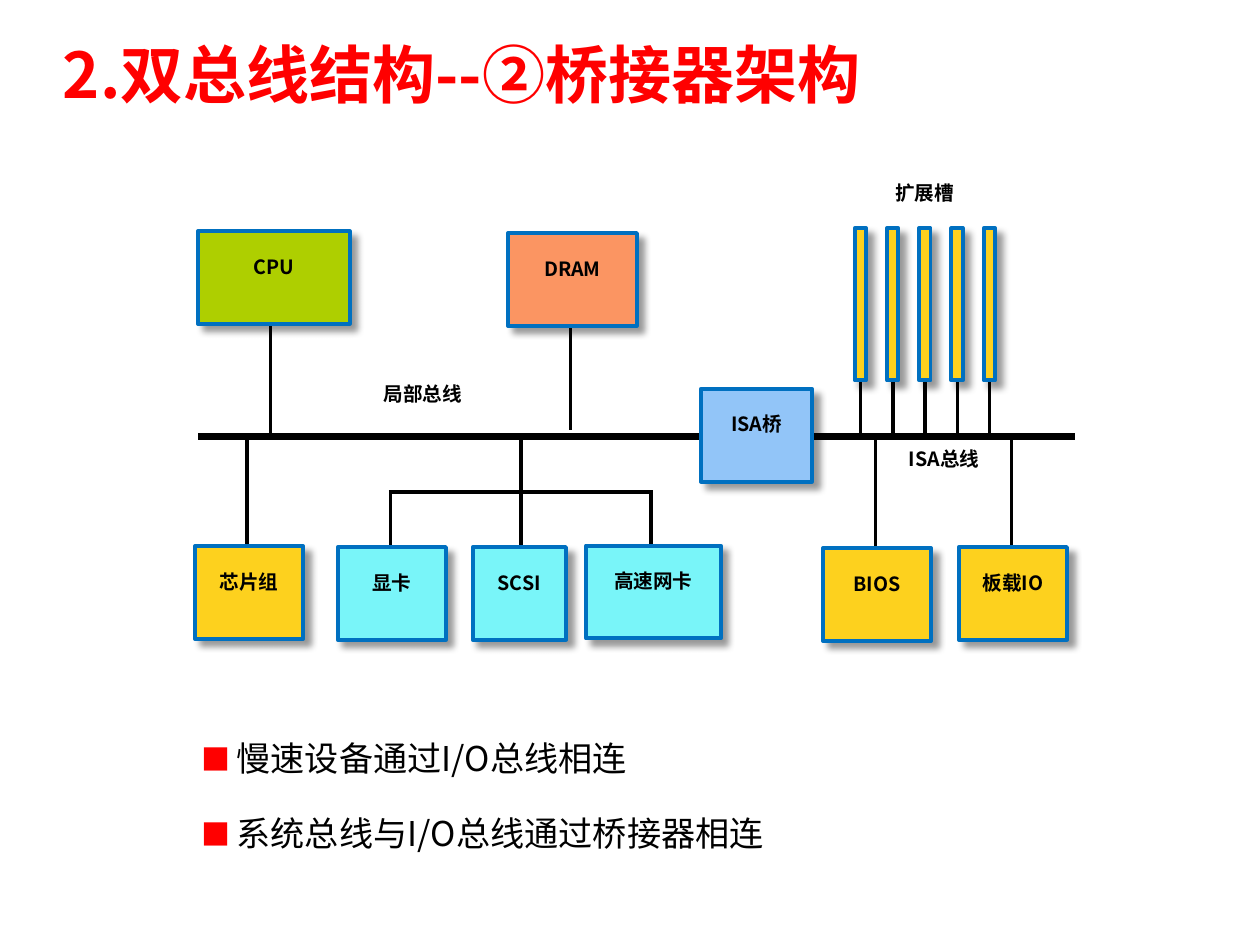
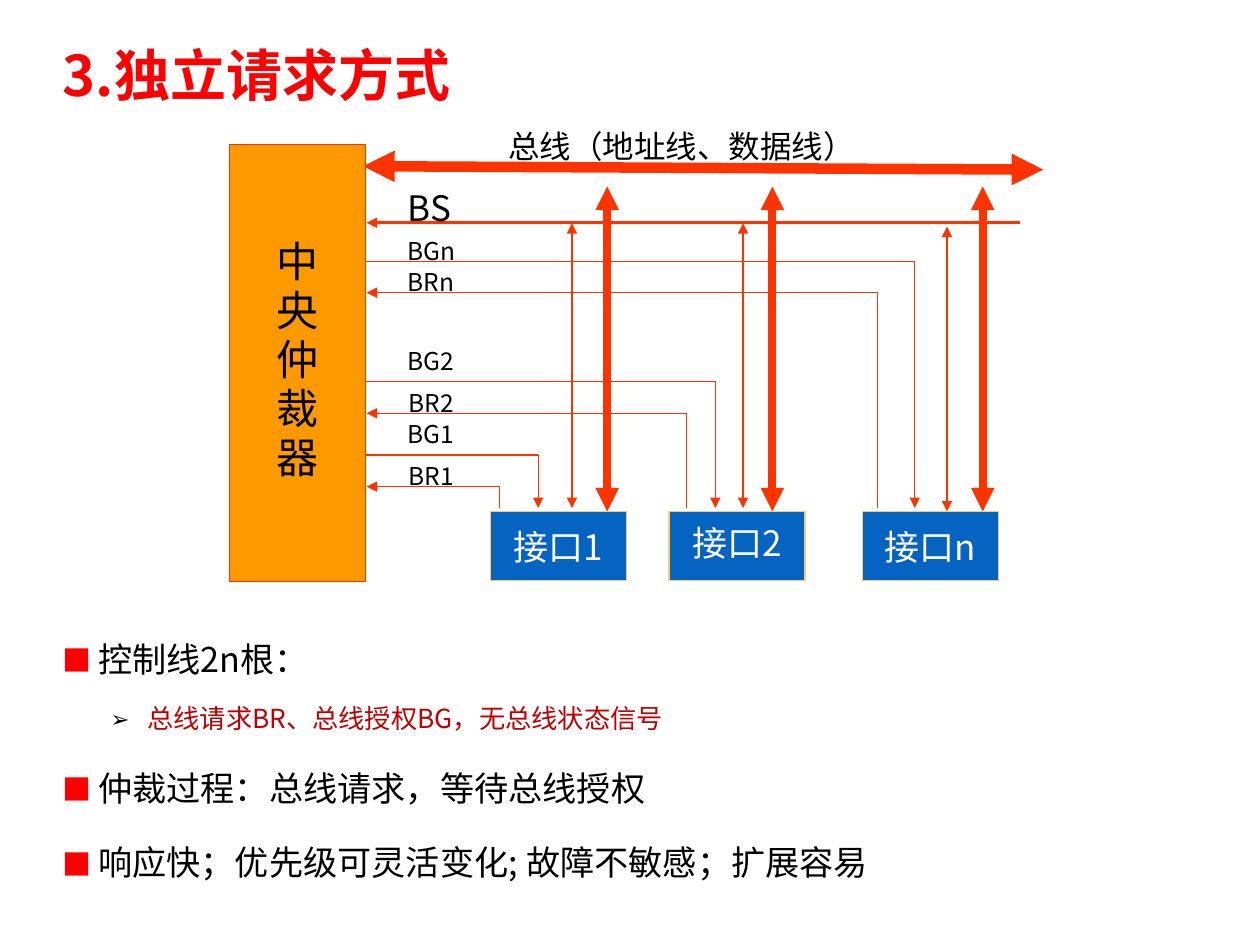
from lxml.etree import SubElement
from pptx import Presentation
from pptx.dml.color import RGBColor
from pptx.enum.shapes import MSO_CONNECTOR as Connector, MSO_SHAPE as Shape
from pptx.enum.text import MSO_ANCHOR as Anchor, PP_ALIGN as Align
from pptx.oxml import parse_xml
from pptx.oxml.ns import nsdecls, qn
from pptx.util import Cm, Pt

FONT = "Noto Sans CJK SC"
BLACK = RGBColor(0x00, 0x00, 0x00)
WHITE = RGBColor(0xFF, 0xFF, 0xFF)
RED = RGBColor(0xFF, 0x00, 0x00)
DARK_RED = RGBColor(0xC0, 0x00, 0x00)
ARROW_RED = RGBColor(0xFF, 0x33, 0x00)
BORDER_BLUE = RGBColor(0x00, 0x70, 0xC0)
GREEN = RGBColor(0xAE, 0xCF, 0x00)
CORAL = RGBColor(0xFB, 0x95, 0x62)
SKY = RGBColor(0x92, 0xC5, 0xF8)
YELLOW = RGBColor(0xFD, 0xD1, 0x1E)
CYAN = RGBColor(0x79, 0xF5, 0xF9)
ORANGE = RGBColor(0xFF, 0x99, 0x00)
INTERFACE_BLUE = RGBColor(0x05, 0x63, 0xC1)
SAND = RGBColor(0xFF, 0xCC, 0x66)

SHADOW = (
    f'<a:outerShdw {nsdecls("a")} blurRad="50800" dist="63500" dir="2700000" algn="tl" '
    'rotWithShape="0"><a:srgbClr val="000000"><a:alpha val="40000"/></a:srgbClr></a:outerShdw>'
)
BULLETS = [("■", RED, 0.71, 0.71), ("➢", BLACK, 1.7, 0.74)]


def write_text(shape, text, size=11.2, color=BLACK, bold=False, align=Align.CENTER,
               anchor=Anchor.TOP, spacing=1.0, before=0, wrap=True, level=None, append=False):
    frame = shape.text_frame
    frame.word_wrap = wrap
    frame.vertical_anchor = anchor
    for index, line in enumerate(text.split("\n")):
        follows = append or index > 0
        paragraph = frame.add_paragraph() if follows else frame.paragraphs[0]
        paragraph.alignment = align
        paragraph.line_spacing = spacing
        paragraph.space_before = Pt(before if follows else 0)
        if level is not None:
            symbol, symbol_color, margin, hanging = BULLETS[level]
            paragraph.level = level
            properties = paragraph._p.get_or_add_pPr()
            properties.set("marL", str(Cm(margin)))
            properties.set("indent", str(-Cm(hanging)))
            bullet_color = SubElement(properties, qn("a:buClr"))
            SubElement(bullet_color, qn("a:srgbClr"), val=str(symbol_color))
            SubElement(properties, qn("a:buSzPct"), val="85000")
            SubElement(properties, qn("a:buFont"), typeface=FONT)
            SubElement(properties, qn("a:buChar"), char=symbol)
        run = paragraph.add_run()
        run.text = line
        run.font.size = Pt(size)
        run.font.bold = bold
        run.font.color.rgb = color
        run.font.name = FONT
        SubElement(run._r.get_or_add_rPr(), qn("a:ea"), typeface=FONT)


def draw_line(slide, x1, y1, x2, y2, color=BLACK, width=2.0, ends=()):
    line = slide.shapes.add_connector(Connector.STRAIGHT, Cm(x1), Cm(y1), Cm(x2), Cm(y2))
    line.line.color.rgb = color
    line.line.width = Pt(width)
    for end in ends:
        SubElement(line.line._get_or_add_ln(), qn(f"a:{end}End"), type="triangle")
    SubElement(line._element.spPr, qn("a:effectLst"))


presentation = Presentation()
presentation.slide_width = Cm(25.4)
presentation.slide_height = Cm(19.05)

pages = [
    ("2.双总线结构--②桥接器架构", 36, (3.81, 14.33, 15.98, 4.47), [
        (0, "慢速设备通过I/O总线相连"),
        (0, "系统总线与I/O总线通过桥接器相连"),
    ]),
    ("3.独立请求方式", 32, (1.02, 12.34, 23.88, 6.6), [
        (0, "控制线2n根："),
        (1, "总线请求BR、总线授权BG，无总线状态信号"),
        (0, "仲裁过程：总线请求，等待总线授权"),
        (0, "响应快；优先级可灵活变化; 故障不敏感；扩展容易"),
    ]),
]
for heading, heading_size, body_box, points in pages:
    slide = presentation.slides.add_slide(presentation.slide_layouts[6])
    title = slide.shapes.add_textbox(Cm(1.02), Cm(0.71), Cm(21.89), Cm(1.73))
    write_text(title, heading, size=heading_size, color=RED, bold=True, align=Align.LEFT,
               anchor=Anchor.MIDDLE, spacing=0.9)
    body = slide.shapes.add_textbox(*[Cm(length) for length in body_box])
    for number, (level, point) in enumerate(points):
        write_text(body, point, size=(19.5, 15)[level], color=(BLACK, DARK_RED)[level],
                   align=Align.JUSTIFY, spacing=1.5, before=(7.5, 3.8)[level],
                   level=level, append=number > 0)

bridge_slide, request_slide = presentation.slides

BUS_Y = 8.8
BRANCH_Y = 9.92
draw_line(bridge_slide, 4, BUS_Y, 21.67, BUS_Y, width=4)
draw_line(bridge_slide, 7.84, BRANCH_Y, 13.16, BRANCH_Y)
drops = [
    (5.45, 6.5, BUS_Y), (11.5, 6.45, 8.67), (4.98, BUS_Y, 11.07), (10.5, BUS_Y, 11.02),
    (17.65, BUS_Y, 11.02), (20.39, BUS_Y, 11.02), (7.87, BRANCH_Y, 11.02),
    (13.12, BRANCH_Y, 11.02),
]
for x, top, bottom in drops:
    draw_line(bridge_slide, x, top, x, bottom)

blocks = [
    ("CPU", 3.99, 4.66, 3.06, 1.87, GREEN),
    ("DRAM", 10.24, 4.7, 2.6, 1.87, CORAL),
    ("ISA桥", 14.13, 7.84, 2.24, 1.87, SKY),
    ("芯片组", 3.93, 11.01, 2.18, 1.87, YELLOW),
    ("显卡", 6.81, 11.03, 2.18, 1.87, CYAN),
    ("SCSI", 9.53, 11.03, 1.88, 1.87, CYAN),
    ("高速网卡", 11.81, 11, 2.72, 1.87, CYAN),
    ("BIOS", 16.59, 11.05, 2.18, 1.87, YELLOW),
    ("板载IO", 19.33, 11.03, 2.18, 1.87, YELLOW),
]
for slot in range(5):
    slot_x = 17.23 + 0.65 * slot
    draw_line(bridge_slide, slot_x + 0.12, 7.7, slot_x + 0.12, 8.74)
    blocks.append(("", slot_x, 4.6, 0.23, 3.07, YELLOW))

for name, left, top, width, height, fill in blocks:
    block = bridge_slide.shapes.add_shape(Shape.RECTANGLE, Cm(left), Cm(top), Cm(width), Cm(height))
    block.fill.solid()
    block.fill.fore_color.rgb = fill
    block.line.color.rgb = BORDER_BLUE
    block.line.width = Pt(2.25)
    block.shadow.inherit = False
    block._element.spPr.find(qn("a:effectLst")).append(parse_xml(SHADOW))
    if name:
        block.text_frame.margin_top = Cm(0.47)
        write_text(block, name, bold=True)

for name, left, top, width in [
    ("局部总线", 6.07, 7.57, 4.9), ("扩展槽", 17.51, 3.53, 2.26), ("ISA总线", 16.58, 8.89, 4.9),
]:
    label = bridge_slide.shapes.add_textbox(Cm(left), Cm(top), Cm(width), Cm(1.19))
    write_text(label, name, bold=True)

BOTH_ENDS = ("head", "tail")
INTERFACE_TOP = 10.31
SIGNAL_BOTTOM = 10.24
draw_line(request_slide, 7.32, 3.35, 21.03, 3.42, ARROW_RED, 6, BOTH_ENDS)
draw_line(request_slide, 20.57, 4.49, 7.39, 4.49, ARROW_RED, 1.5, ["tail"])

panels = [("中\n央\n仲\n裁\n器", 4.63, 2.92, 8.81, 24, BLACK, ORANGE, ARROW_RED, 0.8)]
labels = [("总线（地址线、数据线）", 9.51, 2.44, 8.46, 18), ("BS", 7.81, 3.63, 1.7, 20)]
interfaces = [
    ("1", 9.89, 12.24, (11.53, 10.24, 4.5), (10.07, 9.81), (10.85, 9.17), 0.84),
    ("2", 13.49, 15.57, (14.98, 10.24, 4.5), (13.84, 8.33), (14.42, 7.69), 0.84),
    ("n", 17.39, 19.81, (19.09, 10.31, 4.57), (17.69, 5.9), (18.44, 5.27), 0.64),
]
for suffix, left, bus_x, status, request, grant, grant_rise in interfaces:
    status_x, status_bottom, status_top = status
    request_x, request_y = request
    grant_x, grant_y = grant
    draw_line(request_slide, bus_x, 3.76, bus_x, INTERFACE_TOP, ARROW_RED, 4.5, BOTH_ENDS)
    draw_line(request_slide, status_x, status_bottom, status_x, status_top, ARROW_RED, 1.5, BOTH_ENDS)
    draw_line(request_slide, request_x, request_y, 7.39, request_y, ARROW_RED, 0.75, ["tail"])
    draw_line(request_slide, request_x, request_y, request_x, SIGNAL_BOTTOM, ARROW_RED, 0.75)
    draw_line(request_slide, 7.32, grant_y, grant_x, grant_y, ARROW_RED, 0.75)
    draw_line(request_slide, grant_x, grant_y, grant_x, SIGNAL_BOTTOM, ARROW_RED, 0.75, ["tail"])
    labels.append(("BR" + suffix, 7.52, request_y - 0.64, 2.34, 14))
    labels.append(("BG" + suffix, 7.52, grant_y - grant_rise, 2.34, 14))
    panels.append(("接口" + suffix, left, INTERFACE_TOP, 1.4, 20, WHITE, INTERFACE_BLUE, SAND, 1.0))

for name, left, top, height, size, color, fill, border, spacing in panels:
    panel = request_slide.shapes.add_shape(Shape.RECTANGLE, Cm(left), Cm(top), Cm(2.74), Cm(height))
    panel.fill.solid()
    panel.fill.fore_color.rgb = fill
    panel.line.color.rgb = border
    panel.line.width = Pt(0.75)
    panel.shadow.inherit = False
    if name == "接口2":
        panel.text_frame.margin_bottom = Cm(0.29)
    write_text(panel, name, size=size, color=color, anchor=Anchor.MIDDLE, spacing=spacing,
               before=5, wrap=False)

for name, left, top, width, size in labels:
    label = request_slide.shapes.add_textbox(Cm(left), Cm(top), Cm(width), Cm(0.84))
    write_text(label, name, size=size)

presentation.save("out.pptx")
